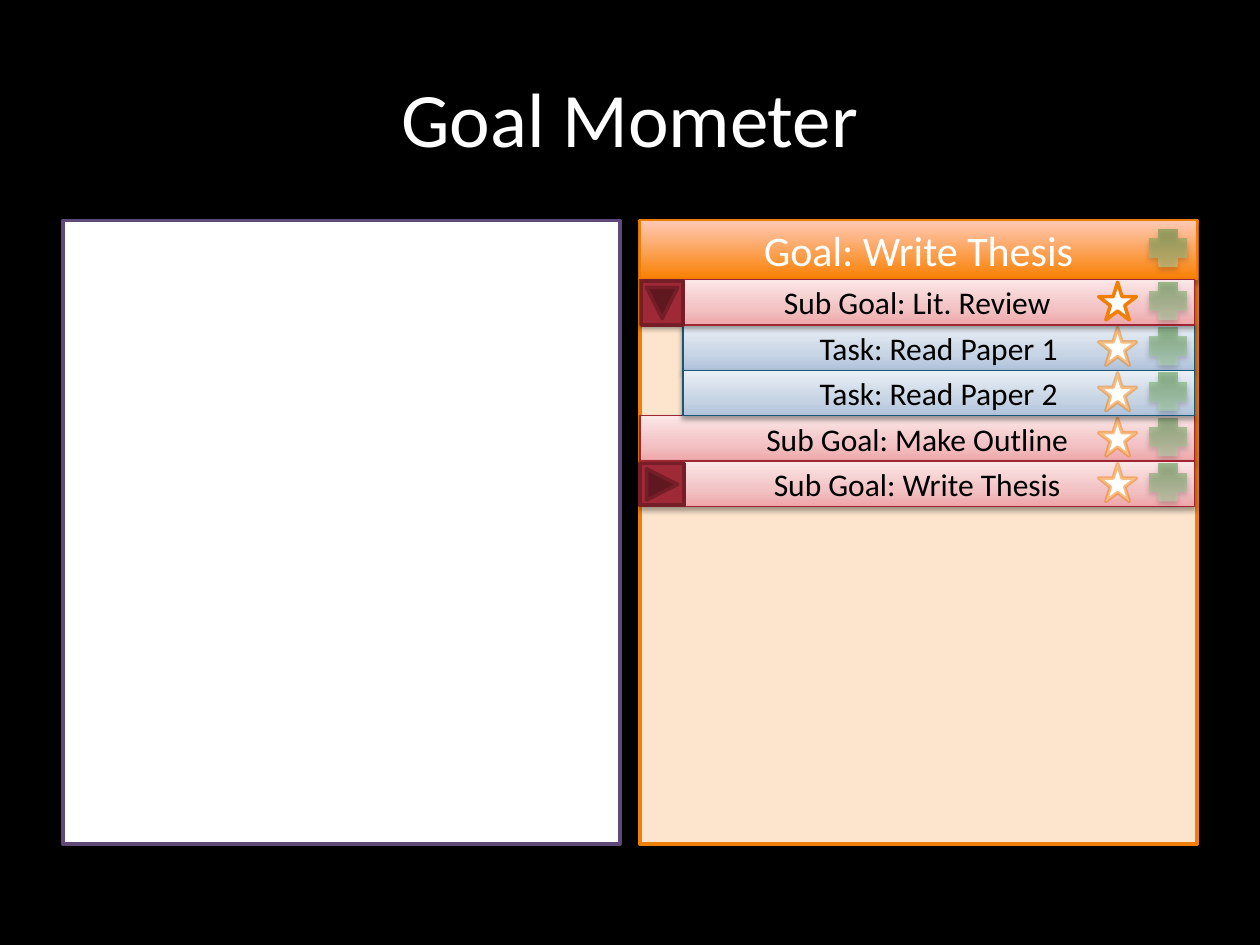
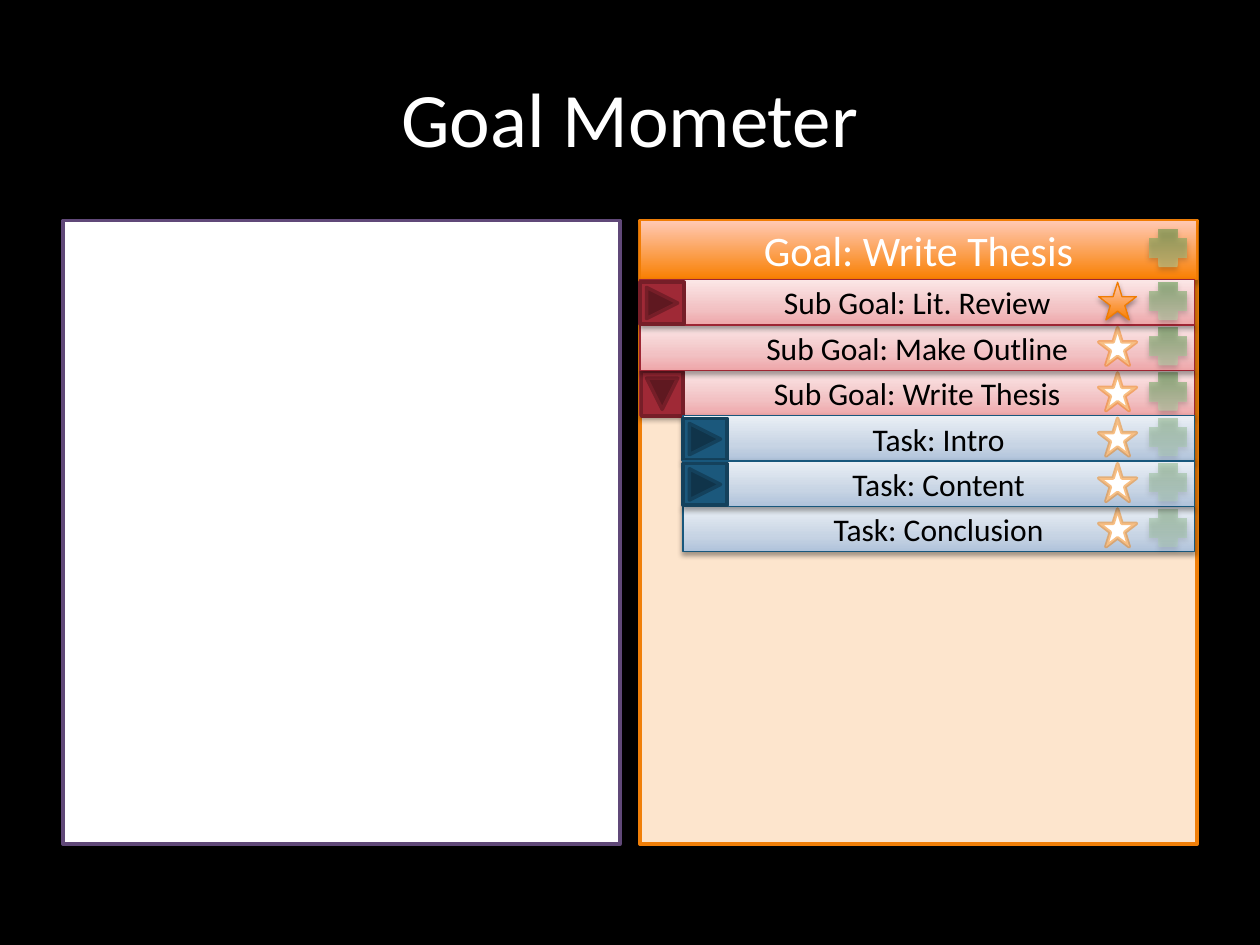
from dataclasses import dataclass

from lxml.etree import SubElement
from pptx import Presentation
from pptx.dml.color import RGBColor
from pptx.enum.shapes import MSO_SHAPE
from pptx.enum.text import MSO_ANCHOR, PP_ALIGN
from pptx.oxml.ns import qn
from pptx.util import Inches, Pt


@dataclass(frozen=True)
class Theme:
    font: str = "Calibri"
    title_size: int = 44
    goal_size: int = 24
    row_size: int = 18
    background: str = "000000"
    light: str = "FFFFFF"
    dark: str = "000000"
    canvas_edge: str = "604878"
    goal_panel: str = "FDE5CD"
    accent: str = "F07F09"
    goal_edge: str = "F07C03"
    # Gradients run from bottom to top: (position in percent, colour)
    goal_fill: tuple = ((0, "F97F00"), (100, "FFC9B5"))
    plus_fill: tuple = ((0, "B5DFAF"), (100, "488F38"))
    subgoal_fill: tuple = ((0, "EEA6A9"), (35, "F2C1C3"), (100, "FBE7E7"))
    subgoal_edge: str = "9E2533"
    subgoal_button: tuple = ("9F2936", "761E28")
    task_fill: tuple = ((0, "AFC2DA"), (35, "C7D4E4"), (100, "EAEFF5"))
    task_edge: str = "18577C"
    task_button: tuple = ("1B587C", "14415C")
    thin: float = 0.75
    thick: float = 2


theme = Theme()

# Grid in inches
PANEL_TOP, PANEL_WIDTH, PANEL_HEIGHT = 1.75, 4.42, 4.95
CANVAS_LEFT, GOAL_LEFT = 0.5, 5.08
HEADER_HEIGHT = 0.47
ROWS_TOP, ROW_HEIGHT = PANEL_TOP + HEADER_HEIGHT, 0.36
ROW_RIGHT, INDENT = 9.48, 0.34
STAR_LEFT, PLUS_LEFT, ICON = 8.72, 9.12, 0.3
BUTTON_WIDTH, BUTTON_HEIGHT = 0.35, 0.33

# Rows from back to front: grid row, level, label, button turn, star state
SLIDES = [
    {"task_plus_alpha": 50, "rows": [
        (3, "subgoal", "Sub Goal: Make Outline", None, "open"),
        (1, "task", "Task: Read Paper 1", None, "open"),
        (0, "subgoal", "Sub Goal: Lit. Review", 90, "active"),
        (2, "task", "Task: Read Paper 2", None, "open"),
        (4, "subgoal", "Sub Goal: Write Thesis", 0, "open"),
    ]},
    {"task_plus_alpha": 30, "rows": [
        (2, "subgoal", "Sub Goal: Write Thesis", 90, "open"),
        (5, "task", "Task: Conclusion", None, "open"),
        (3, "task", "Task: Intro", 0, "open"),
        (4, "task", "Task: Content", 0, "open"),
        (1, "subgoal", "Sub Goal: Make Outline", None, "open"),
        (0, "subgoal", "Sub Goal: Lit. Review", 0, "done"),
    ]},
]


def draw(slide, preset, box, fill, edge=None, weight=theme.thin, alpha=100, edge_alpha=100):
    """Add a preset shape; a tuple as fill gives a gradient with a soft shadow."""
    shape = slide.shapes.add_shape(preset, *map(Inches, box))
    shape.shadow.inherit = False
    if isinstance(fill, tuple):
        shape.fill.gradient()
        shape.fill.gradient_angle = 90
        stops = shape._element.spPr.find(qn("a:gradFill")).find(qn("a:gsLst"))
        for stop in list(stops):
            stops.remove(stop)
        for position, colour in fill:
            stop = SubElement(stops, qn("a:gs"), pos=str(position * 1000))
            rgb = SubElement(stop, qn("a:srgbClr"), val=colour)
            if alpha < 100:
                SubElement(rgb, qn("a:alpha"), val=str(alpha * 1000))
        effects = shape._element.spPr.find(qn("a:effectLst"))
        shadow = SubElement(effects, qn("a:outerShdw"), blurRad=str(Pt(3.1)),
                            dist=str(Pt(1.7)), dir="5400000", rotWithShape="0")
        rgb = SubElement(shadow, qn("a:srgbClr"), val=theme.dark)
        SubElement(rgb, qn("a:alpha"), val="36000")
    else:
        shape.fill.solid()
        shape.fill.fore_color.rgb = RGBColor.from_string(fill)
    if edge is None:
        shape.line.fill.background()
    else:
        shape.line.color.rgb = RGBColor.from_string(edge)
        shape.line.width = Pt(weight)
        if edge_alpha < 100:
            rgb = shape.line._ln.find(qn("a:solidFill")).find(qn("a:srgbClr"))
            SubElement(rgb, qn("a:alpha"), val=str(edge_alpha * 1000))
    return shape


def write(shape, text, size, colour):
    frame = shape.text_frame
    frame.word_wrap = True
    frame.vertical_anchor = MSO_ANCHOR.MIDDLE
    paragraph = frame.paragraphs[0]
    paragraph.text = text
    paragraph.alignment = PP_ALIGN.CENTER
    paragraph.font.name = theme.font
    paragraph.font.size = Pt(size)
    paragraph.font.color.rgb = RGBColor.from_string(colour)


deck = Presentation()
deck.slide_width, deck.slide_height = Inches(10), Inches(7.5)

levels = {
    "subgoal": (GOAL_LEFT, theme.subgoal_fill, theme.subgoal_edge, theme.subgoal_button),
    "task": (GOAL_LEFT + INDENT, theme.task_fill, theme.task_edge, theme.task_button),
}
stars = {
    "open": dict(fill=theme.light, edge=theme.accent, weight=theme.thick, edge_alpha=50),
    "active": dict(fill=theme.light, edge=theme.accent, weight=theme.thick),
    "done": dict(fill=theme.goal_fill, edge=theme.goal_edge),
}

for content in SLIDES:
    slide = deck.slides.add_slide(deck.slide_layouts[6])
    slide.background.fill.solid()
    slide.background.fill.fore_color.rgb = RGBColor.from_string(theme.background)

    draw(slide, MSO_SHAPE.RECTANGLE, (CANVAS_LEFT, PANEL_TOP, PANEL_WIDTH, PANEL_HEIGHT),
         theme.light, theme.canvas_edge, theme.thick)
    title = slide.shapes.add_textbox(*map(Inches, (0.5, 0.3, 9, 1.25)))
    write(title, "Goal Mometer", theme.title_size, theme.light)

    draw(slide, MSO_SHAPE.RECTANGLE, (GOAL_LEFT, PANEL_TOP, PANEL_WIDTH, PANEL_HEIGHT),
         theme.goal_panel, theme.accent, theme.thick)
    goal = draw(slide, MSO_SHAPE.RECTANGLE, (GOAL_LEFT, PANEL_TOP, PANEL_WIDTH, HEADER_HEIGHT),
                theme.goal_fill, theme.goal_edge)
    write(goal, "Goal: Write Thesis", theme.goal_size, theme.light)
    draw(slide, MSO_SHAPE.CROSS, (PLUS_LEFT, PANEL_TOP + 0.07, ICON, ICON),
         theme.plus_fill, alpha=50)

    for row, level, label, turn, star in content["rows"]:
        left, fill, edge, button_colours = levels[level]
        top = ROWS_TOP + row * ROW_HEIGHT
        bar = draw(slide, MSO_SHAPE.RECTANGLE, (left, top, ROW_RIGHT - left, ROW_HEIGHT),
                   fill, edge)
        write(bar, label, theme.row_size, theme.dark)
        plus_alpha = content["task_plus_alpha"] if level == "task" else 50
        draw(slide, MSO_SHAPE.CROSS, (PLUS_LEFT, top + 0.02, ICON, ICON),
             theme.plus_fill, alpha=plus_alpha)
        draw(slide, MSO_SHAPE.STAR_5_POINT, (STAR_LEFT, top + 0.02, ICON, ICON), **stars[star])
        if turn is not None:
            button = draw(slide, MSO_SHAPE.ACTION_BUTTON_FORWARD_OR_NEXT,
                          (left, top + 0.02, BUTTON_WIDTH, BUTTON_HEIGHT),
                          *button_colours, theme.thick)
            button.rotation = turn

deck.save("out.pptx")
